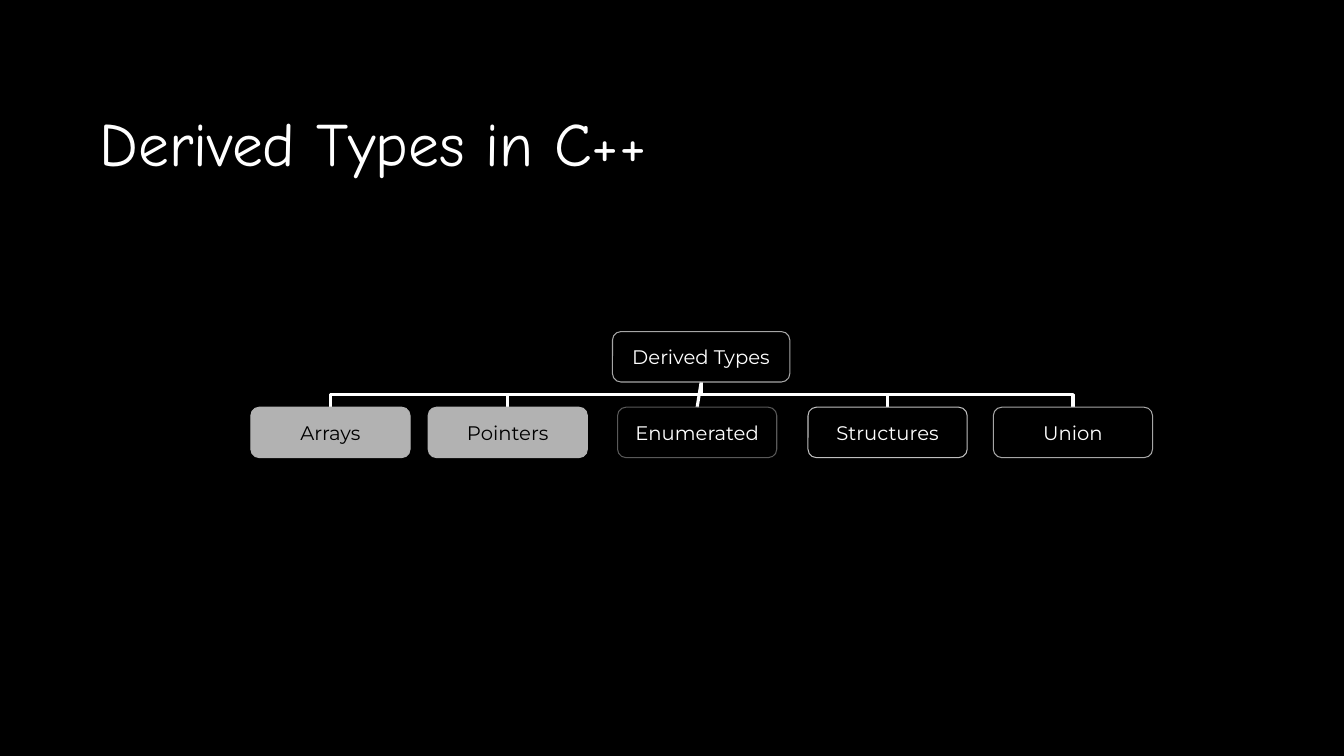
from dataclasses import dataclass

from lxml.etree import SubElement
from pptx import Presentation
from pptx.dml.color import RGBColor
from pptx.enum.shapes import MSO_CONNECTOR, MSO_SHAPE
from pptx.enum.text import MSO_ANCHOR, PP_ALIGN
from pptx.oxml.ns import qn
from pptx.util import Inches, Pt


@dataclass(frozen=True)
class Theme:
    background: str = "000000"
    light: str = "FFFFFF"
    dark: str = "000000"
    filled: str = "B2B2B2"
    outline: str = "A6A6A6"
    bright_outline: str = "BFBFBF"
    dim_outline: str = "595959"
    title_font: str = "Comic Neue"
    node_font: str = "Montserrat"
    title_size: float = 44
    node_size: float = 14
    node_space: float = 8.8
    outline_width: float = 0.75
    branch_width: float = 2.25


class TreeSlide:
    def __init__(self, slide, theme):
        self.slide = slide
        self.theme = theme
        slide.background.fill.solid()
        slide.background.fill.fore_color.rgb = RGBColor.from_string(theme.background)

    def add_run(self, paragraph, text, font, size, color):
        run = paragraph.add_run()
        run.text = text
        run.font.name = font
        run.font.size = Pt(size)
        run.font.color.rgb = RGBColor.from_string(color)

    def title(self, text, left, top, width, height):
        box = self.slide.shapes.add_textbox(
            Inches(left), Inches(top), Inches(width), Inches(height))
        frame = box.text_frame
        frame.word_wrap = True
        frame.vertical_anchor = MSO_ANCHOR.MIDDLE
        paragraph = frame.paragraphs[0]
        paragraph.line_spacing = 0.9
        self.add_run(paragraph, text, self.theme.title_font,
                     self.theme.title_size, self.theme.light)

    def node(self, text, left, top, width, height, outline, fill=None):
        shape = self.slide.shapes.add_shape(
            MSO_SHAPE.ROUNDED_RECTANGLE,
            Inches(left), Inches(top), Inches(width), Inches(height))
        shape.shadow.inherit = False
        shape.line.color.rgb = RGBColor.from_string(outline)
        shape.line.width = Pt(self.theme.outline_width)
        if fill:
            shape.fill.solid()
            shape.fill.fore_color.rgb = RGBColor.from_string(fill)
        else:
            shape.fill.background()
        frame = shape.text_frame
        frame.word_wrap = False
        frame.vertical_anchor = MSO_ANCHOR.MIDDLE
        frame.margin_left = frame.margin_right = Inches(0.08)
        frame.margin_top = frame.margin_bottom = Inches(0.04)
        paragraph = frame.paragraphs[0]
        paragraph.alignment = PP_ALIGN.CENTER
        paragraph.space_before = Pt(self.theme.node_space)
        color = self.theme.dark if fill else self.theme.light
        self.add_run(paragraph, text, self.theme.node_font, self.theme.node_size, color)
        return shape

    def branch(self, parent, child, kind=MSO_CONNECTOR.ELBOW):
        connector = self.slide.shapes.add_connector(kind, 0, 0, 0, 0)
        connector.begin_connect(parent, 2)
        connector.end_connect(child, 0)
        connector.line.color.rgb = RGBColor.from_string(self.theme.light)
        connector.line.width = Pt(self.theme.branch_width)
        properties = connector._element.spPr
        SubElement(properties, qn("a:effectLst"))
        if kind == MSO_CONNECTOR.ELBOW:
            self.turn_downward(connector, properties.find(qn("a:xfrm")))
        self.slide.shapes._spTree.insert(2, connector._element)

    def turn_downward(self, connector, transform):
        goes_right = connector.end_x > connector.begin_x
        span, drop = connector.width, connector.height
        connector.left += (span - drop) // 2
        connector.top += (drop - span) // 2
        connector.width, connector.height = drop, span
        transform.set("rot", "16200000" if goes_right else "5400000")
        transform.set("flipH", "1" if goes_right else "0")
        transform.set("flipV", "0")


def main():
    presentation = Presentation()
    presentation.slide_width = Inches(13.34)
    presentation.slide_height = Inches(7.5)
    theme = Theme()
    tree = TreeSlide(presentation.slides.add_slide(presentation.slide_layouts[6]), theme)

    tree.title("Derived Types in C++", 0.89, 0.83, 11.33, 1.25)
    root = tree.node("Derived Types", 6.08, 3.29, 1.76, 0.5, theme.outline)
    children = [
        ("Arrays", 2.49, theme.filled, theme.filled, MSO_CONNECTOR.ELBOW),
        ("Pointers", 4.25, theme.filled, theme.filled, MSO_CONNECTOR.ELBOW),
        ("Enumerated", 6.13, theme.dim_outline, None, MSO_CONNECTOR.STRAIGHT),
        ("Structures", 8.02, theme.bright_outline, None, MSO_CONNECTOR.ELBOW),
        ("Union", 9.86, theme.outline, None, MSO_CONNECTOR.ELBOW),
    ]
    for text, left, outline, fill, kind in children:
        child = tree.node(text, left, 4.04, 1.58, 0.5, outline, fill)
        tree.branch(root, child, kind)

    presentation.save("out.pptx")


if __name__ == "__main__":
    main()
